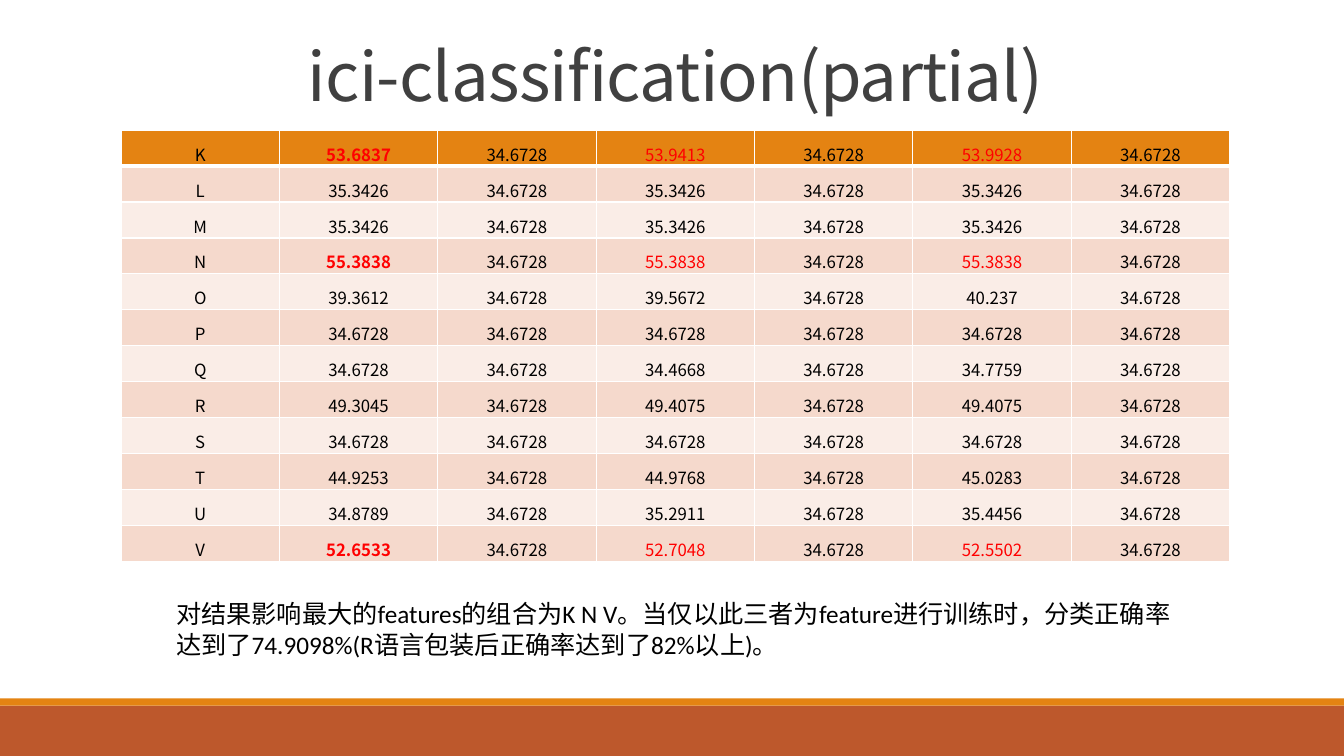
from dataclasses import dataclass

from lxml import etree
from pptx import Presentation, util as u
from pptx.dml.color import RGBColor
from pptx.enum import shapes, text
from pptx.oxml.ns import qn


@dataclass(frozen=True)
class Theme:
    rust: str = "BD582C"
    orange: str = "E48312"
    band_dark: str = "F5D9CC"
    band_light: str = "FAEDE7"
    white: str = "FFFFFF"
    heading: str = "404040"
    ink: str = "000000"
    accent: str = "FF0000"
    cjk_font: str = "Noto Sans CJK SC"
    body_font: str = "Calibri"
    title_size: int = 48
    body_size: int = 18
    cell_size: int = 12


BASE = "34.6728"
KEY_FEATURES = "KNV"
SCORES = [
    ("K", "53.6837", "53.9413", "53.9928"),
    ("L", "35.3426", "35.3426", "35.3426"),
    ("M", "35.3426", "35.3426", "35.3426"),
    ("N", "55.3838", "55.3838", "55.3838"),
    ("O", "39.3612", "39.5672", "40.237"),
    ("P", BASE, BASE, BASE),
    ("Q", BASE, "34.4668", "34.7759"),
    ("R", "49.3045", "49.4075", "49.4075"),
    ("S", BASE, BASE, BASE),
    ("T", "44.9253", "44.9768", "45.0283"),
    ("U", "34.8789", "35.2911", "35.4456"),
    ("V", "52.6533", "52.7048", "52.5502"),
]


class Deck:
    def __init__(self, theme):
        self.theme = theme
        self.prs = Presentation()
        self.prs.slide_width = u.Cm(33.87)
        self.prs.slide_height = u.Cm(19.05)
        self.s = self.prs.slides.add_slide(self.prs.slide_layouts[5])

    def run(self, p, words, size, font, color, bold=False):
        r = p.add_run()
        r.text = words
        r.font.size = u.Pt(size)
        r.font.name = font
        r.font.bold = bold
        r.font.color.rgb = RGBColor.from_string(color)
        ea = etree.SubElement(r.font._element, qn("a:ea"))
        ea.set("typeface", self.theme.cjk_font)
        return r

    def bar(self, top, height, color):
        sp = self.s.shapes.add_shape(
            shapes.MSO_SHAPE.RECTANGLE, 0, u.Cm(top), self.prs.slide_width, u.Cm(height))
        sp.shadow.inherit = False
        sp.fill.solid()
        sp.fill.fore_color.rgb = RGBColor.from_string(color)
        sp.line.fill.background()

    def title(self, words, left, top, width, height):
        t = self.theme
        sp = self.s.shapes.title
        sp.left, sp.top, sp.width, sp.height = map(u.Cm, (left, top, width, height))
        tf = sp.text_frame
        tf.word_wrap = True
        tf.auto_size = text.MSO_AUTO_SIZE.NONE
        tf.vertical_anchor = text.MSO_ANCHOR.BOTTOM
        p = tf.paragraphs[0]
        p.alignment = text.PP_ALIGN.CENTER
        p.line_spacing = 0.85
        r = self.run(p, words, t.title_size, t.cjk_font, t.heading)
        r.font._element.set("spc", "-50")

    def note(self, words, left, top, width, height):
        t = self.theme
        sp = self.s.shapes.add_textbox(*map(u.Cm, (left, top, width, height)))
        tf = sp.text_frame
        tf.word_wrap = True
        tf.auto_size = text.MSO_AUTO_SIZE.SHAPE_TO_FIT_TEXT
        self.run(tf.paragraphs[0], words, t.body_size, t.body_font, t.ink)

    def border(self, cell, side, points):
        ln = etree.SubElement(cell._tc.get_or_add_tcPr(), qn(f"a:ln{side}"), w=str(u.Pt(points)))
        fill = etree.SubElement(ln, qn("a:solidFill"))
        etree.SubElement(fill, qn("a:srgbClr"), val=self.theme.white)

    def cell(self, cell, words, fill, widths, color, bold):
        t = self.theme
        for side, points in zip("LRTB", widths):
            self.border(cell, side, points)
        cell.fill.solid()
        cell.fill.fore_color.rgb = RGBColor.from_string(fill)
        cell.margin_left = cell.margin_right = cell.margin_top = u.Cm(0.02)
        cell.margin_bottom = 0
        cell.vertical_anchor = text.MSO_ANCHOR.BOTTOM
        p = cell.text_frame.paragraphs[0]
        p.alignment = text.PP_ALIGN.CENTER
        self.run(p, words, t.cell_size, t.cjk_font, color, bold)

    def score_table(self, scores, left, top, width, height):
        t = self.theme
        rows, cols = len(scores), 7
        table = self.s.shapes.add_table(
            rows, cols, *map(u.Cm, (left, top, width, height))).table
        for col in table.columns:
            col.width = u.Cm(width / cols)
        for row in table.rows:
            row.height = u.Cm(height / rows)
        for i, (feature, *values) in enumerate(scores):
            fill = t.orange if i == 0 else t.band_dark if i % 2 else t.band_light
            widths = (1, 1, 3 if i == 1 else 1, 3 if i == 0 else 1)
            line = [feature] + [v for value in values for v in (value, BASE)]
            for j, words in enumerate(line):
                key = feature in KEY_FEATURES and j % 2 == 1
                self.cell(table.cell(i, j), words, fill, widths,
                          t.accent if key else t.ink, key and j == 1)


def main():
    theme = Theme()
    deck = Deck(theme)
    deck.bar(17.78, 1.27, theme.rust)
    deck.bar(17.6, 0.18, theme.orange)
    deck.title("ici-classification(partial)", 3.05, 0.79, 27.94, 2.24)
    deck.score_table(SCORES, 3.05, 3.28, 27.94, 10.87)
    deck.note("对结果影响最大的features的组合为K N V。当仅以此三者为feature进行训练时，"
              "分类正确率达到了74.9098%(R语言包装后正确率达到了82%以上)。",
              4.19, 14.96, 25.68, 1.8)
    deck.prs.save("out.pptx")


if __name__ == "__main__":
    main()
